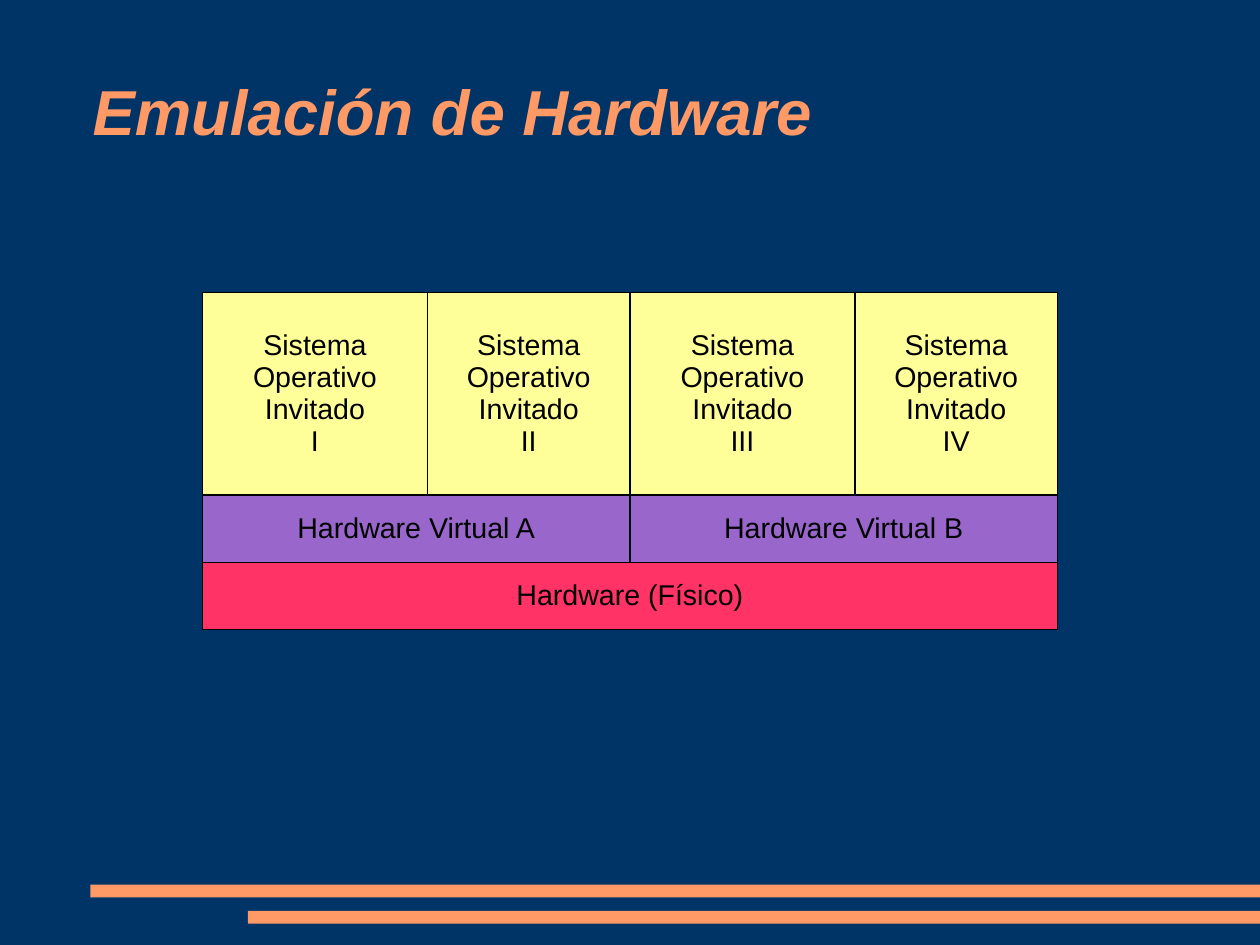
from pptx import Presentation
from pptx.dml.color import RGBColor
from pptx.enum.shapes import MSO_SHAPE
from pptx.enum.text import MSO_ANCHOR, MSO_AUTO_SIZE, PP_ALIGN
from pptx.util import Inches, Pt

RECTANGLE, ROUNDED = MSO_SHAPE.RECTANGLE, MSO_SHAPE.ROUNDED_RECTANGLE
MIDDLE, NO_FIT = MSO_ANCHOR.MIDDLE, MSO_AUTO_SIZE.NONE
LEFT, CENTER = PP_ALIGN.LEFT, PP_ALIGN.CENTER

CM_PER_INCH = 2.54
SLIDE_WIDTH, SLIDE_HEIGHT = 28 / CM_PER_INCH, 21 / CM_PER_INCH
LAYER_HEIGHT, WIDE_GUEST = 1.5 / CM_PER_INCH, 5 / CM_PER_INCH
NAVY, ORANGE, BLACK = "003366", "FF9966", "000000"
YELLOW, PURPLE, RED = "FFFF99", "9966CC", "FF3366"
LINE_SPACING = 0.93
GUEST_LINES = ["Sistema", "Operativo", "Invitado"]
HALVES = (("A", ("I", "II")), ("B", ("III", "IV")))


def paint(fill, color):
    """Make a fill solid in a colour given as a hex string."""
    fill.solid()
    fill.fore_color.rgb = RGBColor.from_string(color)


def write(paragraph, lines, align, size, color, emphasis=False):
    """Write lines into one paragraph, run by run, with line breaks between."""
    paragraph.alignment = align
    paragraph.line_spacing = LINE_SPACING
    for index, line in enumerate(lines):
        if index:
            paragraph.add_line_break()
        run = paragraph.add_run()
        run.text = line
        run.font.name = "Arial"
        run.font.size = Pt(size)
        run.font.bold = run.font.italic = emphasis
        paint(run.font.fill, color)


def add_heading(slide, left, top, width, height):
    """Move and format the title placeholder."""
    heading = slide.shapes.title
    heading.left, heading.top = Inches(left), Inches(top)
    heading.width, heading.height = Inches(width), Inches(height)
    frame = heading.text_frame
    frame.auto_size = NO_FIT
    frame.word_wrap = True
    frame.vertical_anchor = MIDDLE
    frame.margin_left = frame.margin_right = 0
    frame.margin_top = frame.margin_bottom = 0
    write(frame.paragraphs[0], ["Emulación de Hardware"], LEFT, 40, ORANGE, True)


def add_footer_bars(slide, left, top, width):
    """Draw the two stripes that run to the right edge of the box."""
    for indent, drop in ((0, 0), (1.38, 0.23)):
        stripe = slide.shapes.add_shape(
            ROUNDED, Inches(left + indent), Inches(top + drop),
            Inches(width - indent), Inches(0.11))
        stripe.adjustments[0] = 0.017
        stripe.shadow.inherit = False
        paint(stripe.fill, ORANGE)
        stripe.line.fill.background()


def add_block(slide, box, color, paragraphs):
    """Draw one outlined block of the stack with centred text."""
    block = slide.shapes.add_shape(RECTANGLE, *map(Inches, box))
    block.shadow.inherit = False
    paint(block.fill, color)
    paint(block.line.fill, BLACK)
    block.line.width = Pt(0.75)
    frame = block.text_frame
    frame.word_wrap = False
    frame.vertical_anchor = MIDDLE
    for index, lines in enumerate(paragraphs):
        paragraph = frame.add_paragraph() if index else frame.paragraphs[0]
        write(paragraph, lines, CENTER, 18, BLACK)


def add_stack(slide, left, top, width, height):
    """Stack guest systems on virtual hardware on physical hardware."""
    half = width / 2
    guest_height = height - 2 * LAYER_HEIGHT
    virtual_top = top + guest_height
    add_block(slide, (left, virtual_top + LAYER_HEIGHT, width, LAYER_HEIGHT), RED,
              [["Hardware (Físico)"]])
    for side, (letter, _) in enumerate(HALVES):
        add_block(slide, (left + side * half, virtual_top, half, LAYER_HEIGHT),
                  PURPLE, [[f"Hardware Virtual {letter}"]])
    for side, (_, numerals) in enumerate(HALVES):
        start = left + side * half
        columns = ((start, WIDE_GUEST), (start + WIDE_GUEST, half - WIDE_GUEST))
        for numeral, (guest_left, guest_width) in zip(numerals, columns):
            add_block(slide, (guest_left, top, guest_width, guest_height), YELLOW,
                      [GUEST_LINES, [numeral]])


def main():
    """Build the slide and save it."""
    deck = Presentation()
    deck.slide_width, deck.slide_height = Inches(SLIDE_WIDTH), Inches(SLIDE_HEIGHT)
    slide = deck.slides.add_slide(deck.slide_layouts[5])
    paint(slide.background.fill, NAVY)
    add_footer_bars(slide, 0.79, 7.74, SLIDE_WIDTH - 0.79)
    add_heading(slide, 0.81, 0.31, 9.41, 1.38)
    add_stack(slide, *(length / CM_PER_INCH for length in (4.5, 6.5, 19, 7.5)))
    deck.save("out.pptx")


if __name__ == "__main__":
    main()
